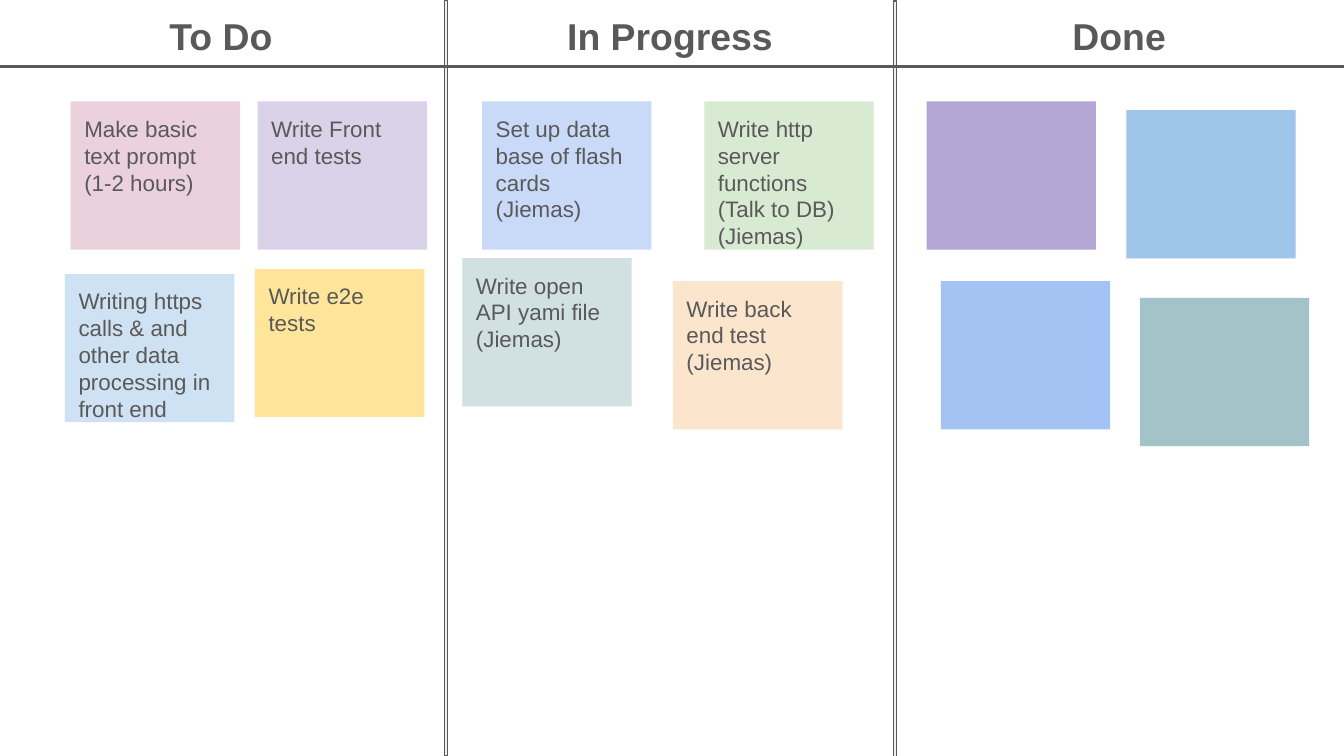
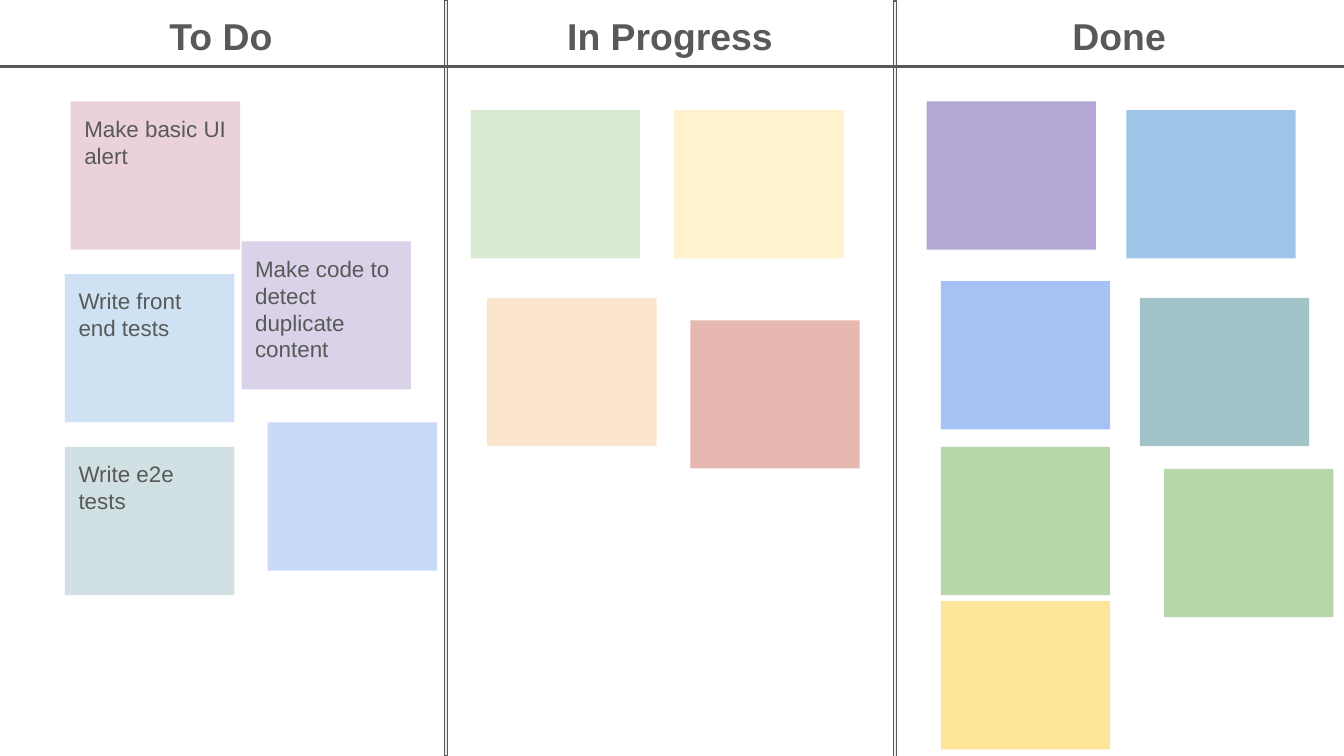
import pptx
import pptx.dml.color
import pptx.enum.shapes
import pptx.enum.text
import pptx.util

Pt = pptx.util.Pt

COLORS = {
    "text": "595959",
    "rule": "EEEEEE",
    "background": "FFFFFF",
    "pink": "EAD1DC",
    "lavender": "D9D2E9",
    "sky": "CFE2F3",
    "periwinkle": "C9DAF8",
    "mist": "D0E0E3",
    "mint": "D9EAD3",
    "cream": "FFF2CC",
    "peach": "FCE5CD",
    "rose": "E6B8AF",
    "yellow": "FFE599",
    "purple": "B4A7D6",
    "blue": "9FC5E8",
    "cornflower": "A4C2F4",
    "teal": "A2C4C9",
    "green": "B6D7A8",
}
FONT = "Arial"
TEXT_MARGIN = 7.25
SLIDE_WIDTH, SLIDE_HEIGHT = 720, 405
RULE_THICKNESS = 1.5
NOTE_WIDTH, NOTE_HEIGHT = 90.75, 79.4
HEADINGS = ["To Do", "In Progress", "Done"]
HEADING_LEFT, HEADING_PITCH = 15.1, 240.6
HEADING_WIDTH, HEADING_HEIGHT = 206.6, 37.4
RULES = [
    (238.2, 0, RULE_THICKNESS, SLIDE_HEIGHT),
    (478.8, 0.6, RULE_THICKNESS, SLIDE_HEIGHT),
    (0, 35.2, SLIDE_WIDTH, 0.8),
]

# Each note: left, top, color, text
DONE_NOTES = [
    (496.4, 54.3, "purple", ""),
    (603.4, 59, "blue", ""),
    (504, 150.6, "cornflower", ""),
    (610.6, 159.6, "teal", ""),
]
FIRST_BOARD = [
    (37.9, 54.3, "pink", "Make basic text prompt (1-2 hours)"),
    (138, 54.3, "lavender", "Write Front end tests"),
    (34.8, 146.8, "sky",
     "Writing https calls & and other data processing in front end"),
    (258.3, 54.3, "periwinkle", "Set up data base of flash cards (Jiemas)"),
    (247.7, 138.3, "mist", "Write open API yami file (Jiemas)"),
    (377.3, 54.3, "mint", "Write http server functions (Talk to DB) (Jiemas)"),
    (360.5, 150.6, "peach", "Write back end test (Jiemas)"),
    *DONE_NOTES,
    (136.6, 144, "yellow", "Write e2e tests"),
]
SECOND_BOARD = [
    (37.9, 54.3, "pink", "Make basic UI alert"),
    (129.4, 129.3, "lavender", "Make code to detect duplicate content"),
    (34.8, 146.8, "sky", "Write front end tests"),
    (143.4, 226.3, "periwinkle", ""),
    (34.8, 239.4, "mist", "Write e2e tests"),
    (252.2, 59, "mint", ""),
    (361.2, 59, "cream", ""),
    (261, 159.6, "peach", ""),
    (369.8, 171.6, "rose", ""),
    *DONE_NOTES,
    (504, 239.4, "green", ""),
    (623.6, 251.2, "green", ""),
    (504, 322.1, "yellow", ""),
]


def rgb(name):
    return pptx.dml.color.RGBColor.from_string(COLORS[name])


def add_rectangle(slide, left, top, width, height, color):
    shape = slide.shapes.add_shape(
        pptx.enum.shapes.MSO_SHAPE.RECTANGLE,
        Pt(left), Pt(top), Pt(width), Pt(height))
    shape.shadow.inherit = False
    shape.fill.solid()
    shape.fill.fore_color.rgb = rgb(color)
    shape.line.fill.background()
    return shape


def write_text(shape, text, size, alignment, bold=False):
    frame = shape.text_frame
    frame.word_wrap = True
    frame.vertical_anchor = pptx.enum.text.MSO_ANCHOR.TOP
    frame.margin_left = frame.margin_right = Pt(TEXT_MARGIN)
    frame.margin_top = frame.margin_bottom = Pt(TEXT_MARGIN)
    frame.text = text
    paragraph = frame.paragraphs[0]
    paragraph.alignment = alignment
    paragraph.line_spacing = 1.0
    for run in paragraph.runs:
        run.font.name = FONT
        run.font.size = Pt(size)
        run.font.bold = bold
        run.font.color.rgb = rgb("text")


def add_rule(slide, left, top, width, height):
    rule = add_rectangle(slide, left, top, width, height, "rule")
    rule.line.color.rgb = rgb("text")
    rule.line.width = Pt(0.75)


def add_heading(slide, column, text):
    box = slide.shapes.add_textbox(
        Pt(HEADING_LEFT + column * HEADING_PITCH), Pt(0),
        Pt(HEADING_WIDTH), Pt(HEADING_HEIGHT))
    write_text(box, text, 20, pptx.enum.text.PP_ALIGN.CENTER, bold=True)


def add_note(slide, left, top, color, text):
    note = add_rectangle(slide, left, top, NOTE_WIDTH, NOTE_HEIGHT, color)
    if text:
        write_text(note, text, 12, pptx.enum.text.PP_ALIGN.LEFT)


def add_board(presentation, notes):
    """Add a slide with the three-column frame and its sticky notes."""
    slide = presentation.slides.add_slide(presentation.slide_layouts[6])
    slide.background.fill.solid()
    slide.background.fill.fore_color.rgb = rgb("background")
    for rule in RULES:
        add_rule(slide, *rule)
    for column, heading in enumerate(HEADINGS):
        add_heading(slide, column, heading)
    for note in notes:
        add_note(slide, *note)


def main():
    presentation = pptx.Presentation()
    presentation.slide_width = Pt(SLIDE_WIDTH)
    presentation.slide_height = Pt(SLIDE_HEIGHT)
    for notes in (FIRST_BOARD, SECOND_BOARD):
        add_board(presentation, notes)
    presentation.save("out.pptx")


if __name__ == "__main__":
    main()
